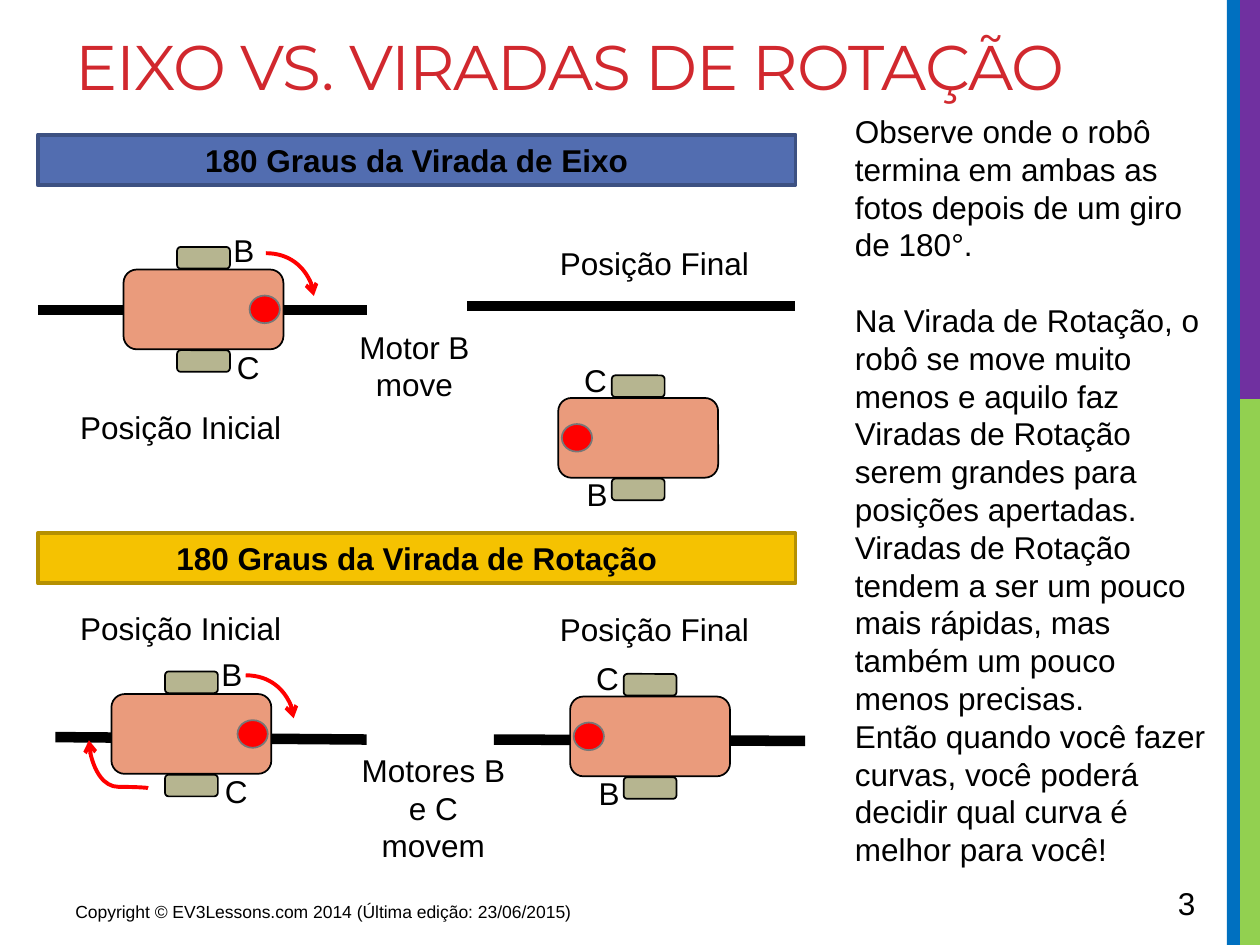
from dataclasses import dataclass

from lxml import etree
from pptx import Presentation
from pptx.dml.color import RGBColor
from pptx.enum.shapes import MSO_CONNECTOR, MSO_SHAPE
from pptx.enum.text import MSO_ANCHOR, PP_ALIGN
from pptx.oxml.ns import qn
from pptx.util import Pt

RECTANGLE, ROUNDED, OVAL = MSO_SHAPE.RECTANGLE, MSO_SHAPE.ROUNDED_RECTANGLE, MSO_SHAPE.OVAL
STRAIGHT, CURVE = MSO_CONNECTOR.STRAIGHT, MSO_CONNECTOR.CURVE
LEFT, CENTER = PP_ALIGN.LEFT, PP_ALIGN.CENTER
TOP, MIDDLE = MSO_ANCHOR.TOP, MSO_ANCHOR.MIDDLE


@dataclass(frozen=True)
class Theme:
    black: str = "000000"
    title: str = "D1282E"
    blue_stripe: str = "0070C0"
    purple_stripe: str = "7030A0"
    green_stripe: str = "92D050"
    axis_fill: str = "526DB0"
    axis_edge: str = "3D5182"
    spin_fill: str = "F5C201"
    spin_edge: str = "B59001"
    robot: str = "EA9B7C"
    wheel: str = "B6B590"
    red: str = "FF0000"
    sensor_edge: str = "777777"
    title_font: str = "Montserrat"
    text_font: str = "Arial"
    title_size: float = 36
    text_size: float = 18
    footer_size: float = 10


theme = Theme()
presentation = Presentation()
presentation.slide_width, presentation.slide_height = Pt(720), Pt(540)
slide = presentation.slides.add_slide(presentation.slide_layouts[6])


def draw_shape(kind, left, top, width, height, fill, edge=None, edge_width=1):
    shape = slide.shapes.add_shape(kind, Pt(left), Pt(top), Pt(width), Pt(height))
    shape.shadow.inherit = False
    shape.fill.solid()
    shape.fill.fore_color.rgb = RGBColor.from_string(fill)
    if edge:
        shape.line.color.rgb = RGBColor.from_string(edge)
        shape.line.width = Pt(edge_width)
    else:
        shape.line.fill.background()
    return shape


def write_text(text, box=None, shape=None, size=theme.text_size, font=theme.text_font,
               color=theme.black, bold=False, align=LEFT, anchor=TOP, spacing=0,
               gaps=()):
    """Write lines of text in a shape, or in a new text box."""
    shape = shape or slide.shapes.add_textbox(*map(Pt, box))
    frame = shape.text_frame
    frame.word_wrap = True
    frame.vertical_anchor = anchor
    for index, line in enumerate(text.split("\n")):
        paragraph = frame.add_paragraph() if index else frame.paragraphs[0]
        paragraph.alignment = align
        if index in gaps:
            paragraph.space_before = Pt(size * 1.2)
        run = paragraph.add_run()
        run.text = line
        run.font.name, run.font.size, run.font.bold = font, Pt(size), bold
        run.font.color.rgb = RGBColor.from_string(color)
        if spacing:
            run.font._element.set("spc", str(round(spacing * 100)))


# Stripes on the right edge
draw_shape(RECTANGLE, 708.5, 228, 11.5, 312, theme.green_stripe)
draw_shape(RECTANGLE, 705.5, 0, 14.5, 228, theme.purple_stripe)
draw_shape(RECTANGLE, 701, 0, 7.5, 540, theme.blue_stripe)

# Title, footer and page number
write_text("EIXO VS. VIRADAS DE ROTAÇÃO", (36, 12.2, 649.5, 108), size=theme.title_size,
           font=theme.title_font, color=theme.title, spacing=-0.6)
write_text("Copyright © EV3Lessons.com 2014 (Última edição: 23/06/2015)",
           (36, 511.2, 302.5, 22.5), size=theme.footer_size)
write_text("3", (666, 501.8, 49.5, 28.8))

# Section banners
for text, top, fill, edge in (
    ("180 Graus da Virada de Eixo", 77, theme.axis_fill, theme.axis_edge),
    ("180 Graus da Virada de Rotação", 304.6, theme.spin_fill, theme.spin_edge),
):
    banner = draw_shape(RECTANGLE, 21.6, top, 433, 28.8, fill, edge, 2.25)
    write_text(text, shape=banner, bold=True, align=CENTER, anchor=MIDDLE)

# Explanation
write_text(
    "Observe onde o robô termina em ambas as fotos depois de um giro de 180°.\n"
    "Na Virada de Rotação, o robô se move muito menos e aquilo faz Viradas de Rotação "
    "serem grandes para posições apertadas. Viradas de Rotação tendem a ser um pouco "
    "mais rápidas, mas também um pouco menos precisas.\n"
    "Então quando você fazer curvas, você poderá decidir qual curva é melhor para você!",
    (481.5, 60.5, 221, 443.5), gaps=(1,))

# Captions
for text, left, top, width, height in (
    ("Posição Inicial", 36, 229.7, 134.6, 28.8),
    ("Posição Final", 306.7, 136.1, 134.6, 28.8),
    ("Motor B move", 184.3, 183.6, 105.1, 51),
    ("Posição Inicial", 36, 344.2, 134.6, 28.8),
    ("Posição Final", 306.7, 344.9, 134.6, 28.8),
    ("Motores B e C movem", 195.1, 425.5, 105.1, 72.7),
):
    write_text(text, (left, top, width, height), align=CENTER)

# Track lines and turning arrows: ends, preset, turn in degrees, bend
for ends, preset, turn, bend in (
    ((21.6, 177.1, 209.5, 177.1), "line", 0, None),
    ((267.1, 175, 454.3, 175), "line", 0, None),
    ((31.7, 421.2, 209.5, 422.6), "line", 0, None),
    ((282.2, 422.6, 460.1, 423.4), "line", 0, None),
    ((151.9, 144.7, 179.3, 169.2), "curvedConnector2", 0, None),
    ((140.4, 385.9, 167.8, 410.5), "curvedConnector2", 0, None),
    ((54, 453.6, 81.4, 419.8), "curvedConnector3", 270, 2800),
):
    curved = preset != "line"
    connector = slide.shapes.add_connector(CURVE if curved else STRAIGHT, *map(Pt, ends))
    connector.line.color.rgb = RGBColor.from_string(theme.red if curved else theme.black)
    connector.line.width = Pt(2.25 if curved else 6)
    properties = connector._element.spPr
    geometry = properties.find(qn("a:prstGeom"))
    geometry.set("prst", preset)
    if turn:
        properties.find(qn("a:xfrm")).set("rot", str(turn * 60000))
    if bend:
        etree.SubElement(geometry.find(qn("a:avLst")), qn("a:gd"),
                         name="adj1", fmla=f"val {bend}")
    if curved:
        etree.SubElement(properties.find(qn("a:ln")), qn("a:tailEnd"), type="arrow")
    etree.SubElement(properties, qn("a:effectLst"))

# Robots: centre and heading (1 faces right, -1 faces left)
for x, y, heading in ((116.3, 176.8, 1), (364.7, 250.2, -1),
                      (109.4, 419.4, 1), (371.5, 420.8, -1)):
    for kind, shift_x, shift_y, width, height, fill, edge in (
        (ROUNDED, 0, 0, 91.4, 45.6, theme.robot, theme.black),
        (ROUNDED, 0, -29.5, 30.2, 12.4, theme.wheel, theme.black),
        (ROUNDED, 0, 29.5, 30.2, 12.4, theme.wheel, theme.black),
        (OVAL, 35 * heading, 0, 17.3, 15.8, theme.red, theme.sensor_edge),
    ):
        draw_shape(kind, x + shift_x - width / 2, y + shift_y - height / 2,
                   width, height, fill, edge)
    if heading == 1:
        labels = (("B", 10, -48.5), ("C", 12, 18.3))
    else:
        labels = (("C", -38, -47.5), ("B", -36.5, 17.7))
    for letter, shift_x, shift_y in labels:
        write_text(letter, (x + shift_x, y + shift_y, 36.7, 28.8))

presentation.save("out.pptx")
